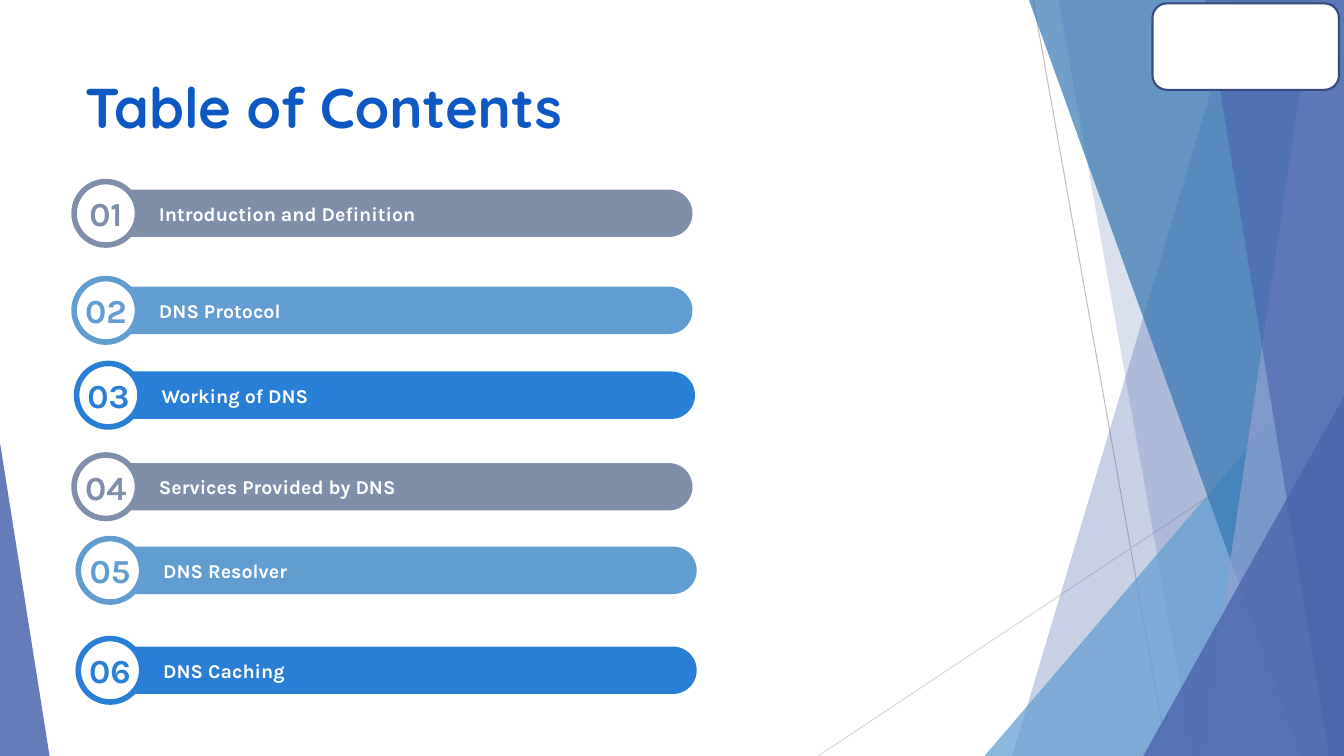
from lxml.etree import SubElement
from pptx import Presentation
from pptx.dml.color import RGBColor
from pptx.enum.shapes import MSO_CONNECTOR, MSO_SHAPE
from pptx.enum.text import MSO_ANCHOR, MSO_AUTO_SIZE, PP_ALIGN
from pptx.oxml.ns import qn
from pptx.util import Inches, Pt

COLS, ROWS = 160, 90  # square cells, twelve to the inch
COLORS = {
    "white": "FFFFFF", "title": "0E58C4", "slate": "7F8FA9", "sky": "629DD1",
    "blue": "297FD5", "indigo": "4A66AC", "steel": "3477B2", "lavender": "90A2CF",
    "frame": "374B7F", "gray": "BFBFBF", "light gray": "D9D9D9",
}
# left edge at the top, left edge at the bottom, colour, opacity
BANDS_BEHIND = [(147.4, 120.5, "indigo", 30), (126, 142, "indigo", 20)]
BANDS_FRONT = [(122.5, 154.9, "steel", 70), (156.4, 143, "lavender", 70),
               (143.5, 158.2, "indigo", 65)]
# circle centre column and row, heading
TOPICS = [
    (12.6, 25.4, "Introduction and Definition"),
    (12.6, 36.95, "DNS Protocol"),
    (12.9, 47.05, "Working of DNS"),
    (12.6, 57.95, "Services Provided by DNS"),
    (13.1, 67.9, "DNS Resolver"),
    (13.1, 79.8, "DNS Caching"),
]
TOPIC_COLORS = ["slate", "sky", "blue"]


def cells(*counts):
    return [Inches(n / 12) for n in counts]


def rgb(name):
    return RGBColor.from_string(COLORS[name])


def paint(sp, fill, opacity=100, line=None, width=0):
    sp.shadow.inherit = False
    sp.fill.solid()
    sp.fill.fore_color.rgb = rgb(fill)
    if opacity < 100:
        color = sp.fill._xPr.find(qn("a:solidFill"))[0]
        SubElement(color, qn("a:alpha"), val=str(opacity * 1000))
    if line:
        sp.line.color.rgb = rgb(line)
        sp.line.width = Pt(width)
    else:
        sp.line.fill.background()


def add_line(shapes, start, end, color):
    line = shapes.add_connector(MSO_CONNECTOR.STRAIGHT, *cells(*start, *end))
    line.line.color.rgb = rgb(color)
    line.line.width = Pt(0.75)
    SubElement(line._element.spPr, qn("a:effectLst"))


def add_band(shapes, top_x, bottom_x, color, opacity):
    """Add a full-height band that runs to the slide's right edge."""
    builder = shapes.build_freeform(*cells(top_x, 0))
    corners = [(COLS, 0), (COLS, ROWS), (bottom_x, ROWS)]
    builder.add_line_segments([cells(*c) for c in corners], close=True)
    paint(builder.convert_to_shape(), color, opacity)


def add_triangle(shapes, left, top, width, apex, color, opacity):
    """Add a triangle standing on the slide's bottom edge; apex 0 is left, 1 right."""
    sp = shapes.add_shape(MSO_SHAPE.ISOSCELES_TRIANGLE,
                          *cells(left, top, width, ROWS - top))
    sp.adjustments[0] = apex
    paint(sp, color, opacity)


def format_text(tf, size, font, color, align=PP_ALIGN.LEFT):
    p = tf.paragraphs[0]
    p.alignment = align
    f = p.runs[0].font
    f.size, f.name, f.bold = Pt(size), font, True
    f.color.rgb = rgb(color)


def add_text(shapes, text, left, middle, width, height, size, color, align):
    sp = shapes.add_textbox(*cells(left, middle - height / 2, width, height))
    tf = sp.text_frame
    tf.text = text
    tf.word_wrap = True
    tf.auto_size = MSO_AUTO_SIZE.SHAPE_TO_FIT_TEXT
    tf.vertical_anchor = MSO_ANCHOR.MIDDLE
    format_text(tf, size, "Karla", color, align)
    return tf


def add_topic(shapes, number, x, y, heading, color):
    """Add a numbered circle centred on x, y with its heading on a bar."""
    group = shapes.add_group_shape().shapes
    length, thick, ring = 69.84, 5.64, 7.56
    bar = group.add_shape(
        MSO_SHAPE.ROUND_2_SAME_RECTANGLE,
        *cells(x + (length - thick) / 2, y - length / 2, thick, length))
    bar.rotation = 90
    bar.adjustments[0], bar.adjustments[1] = 0.5, 0
    paint(bar, color)
    circle = group.add_shape(MSO_SHAPE.OVAL,
                             *cells(x - ring / 2, y - ring / 2, ring, ring))
    paint(circle, "white", line=color, width=4)
    tf = add_text(group, f"{number:02}", x - 3.72, y, 7.44, 4.8, 24, color,
                  PP_ALIGN.CENTER)
    tf.margin_top = tf.margin_bottom = 0
    add_text(group, heading, x + 5.15, y, 62.4, 4.1, 14, "white", PP_ALIGN.LEFT)


def add_backdrop(shapes):
    add_line(shapes, (123, 0), (139, ROWS), "gray")
    add_line(shapes, (COLS, 48.4), (97.4, ROWS), "light gray")
    for band in BANDS_BEHIND:
        add_band(shapes, *band)
    add_triangle(shapes, 117.2, 40, 42.8, 1, "sky", 72)
    for band in BANDS_FRONT:
        add_band(shapes, *band)
    add_triangle(shapes, 136.1, 47.2, 23.9, 1, "indigo", 80)
    add_triangle(shapes, 0, 52.7, 5.9, 0, "indigo", 85)


def set_title(title, text):
    title.left, title.top, title.width, title.height = cells(8.9, 8, 112.8, 17.3)
    tf = title.text_frame
    tf.text = text
    tf.vertical_anchor = MSO_ANCHOR.TOP
    format_text(tf, 40, "Quicksand", "title")


def main():
    prs = Presentation()
    prs.slide_width, prs.slide_height = cells(COLS, ROWS)
    slide = prs.slides.add_slide(prs.slide_layouts[5])
    shapes = slide.shapes
    add_backdrop(shapes)
    set_title(shapes.title, "Table of Contents")
    for i, (x, y, heading) in enumerate(TOPICS):
        color = TOPIC_COLORS[i % len(TOPIC_COLORS)]
        add_topic(shapes, i + 1, x, y, heading, color)
    panel = shapes.add_shape(MSO_SHAPE.ROUNDED_RECTANGLE,
                             *cells(137.2, 0.4, 22.2, 10.3))
    paint(panel, "white", line="frame", width=1.5)
    prs.save("out.pptx")


if __name__ == "__main__":
    main()
